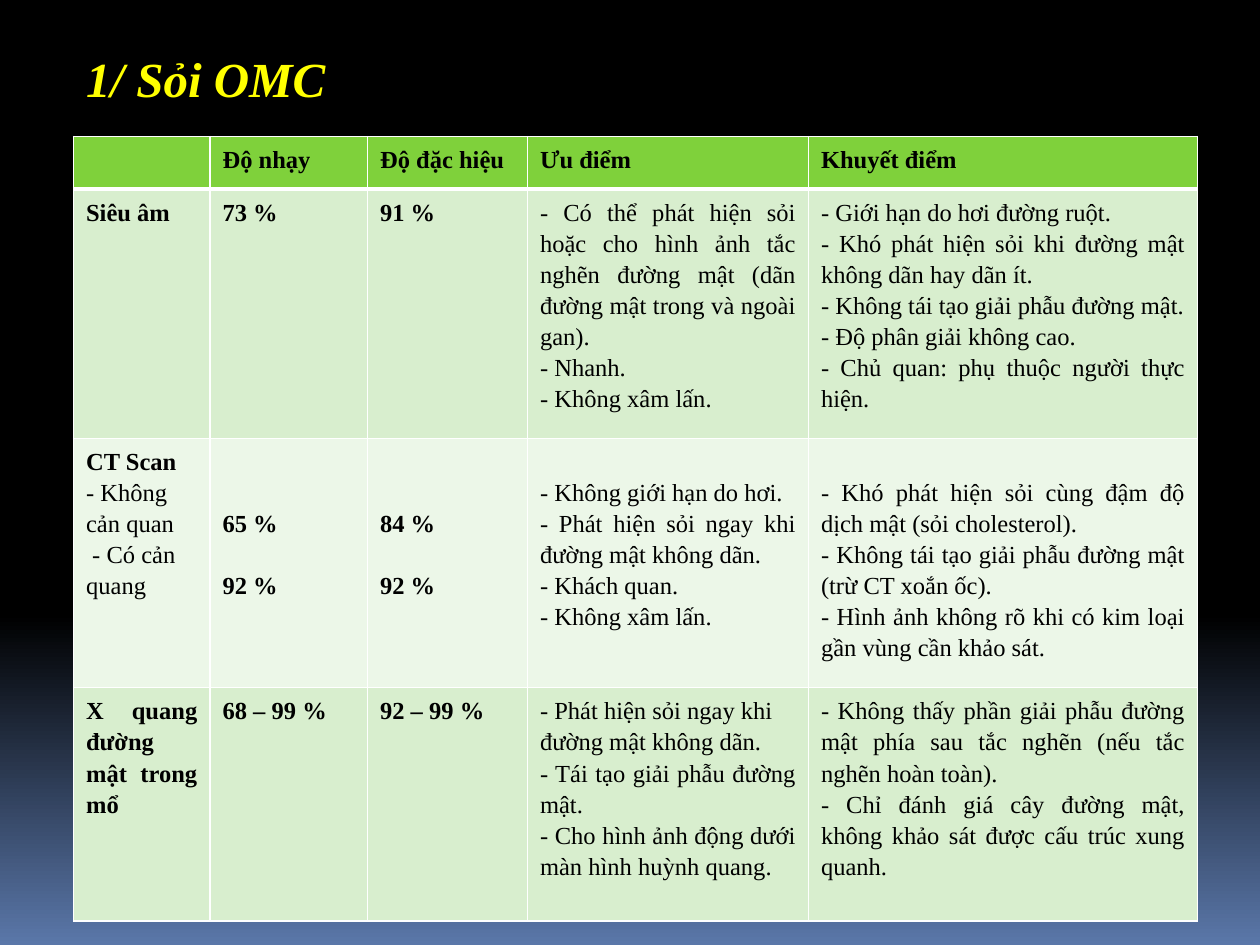
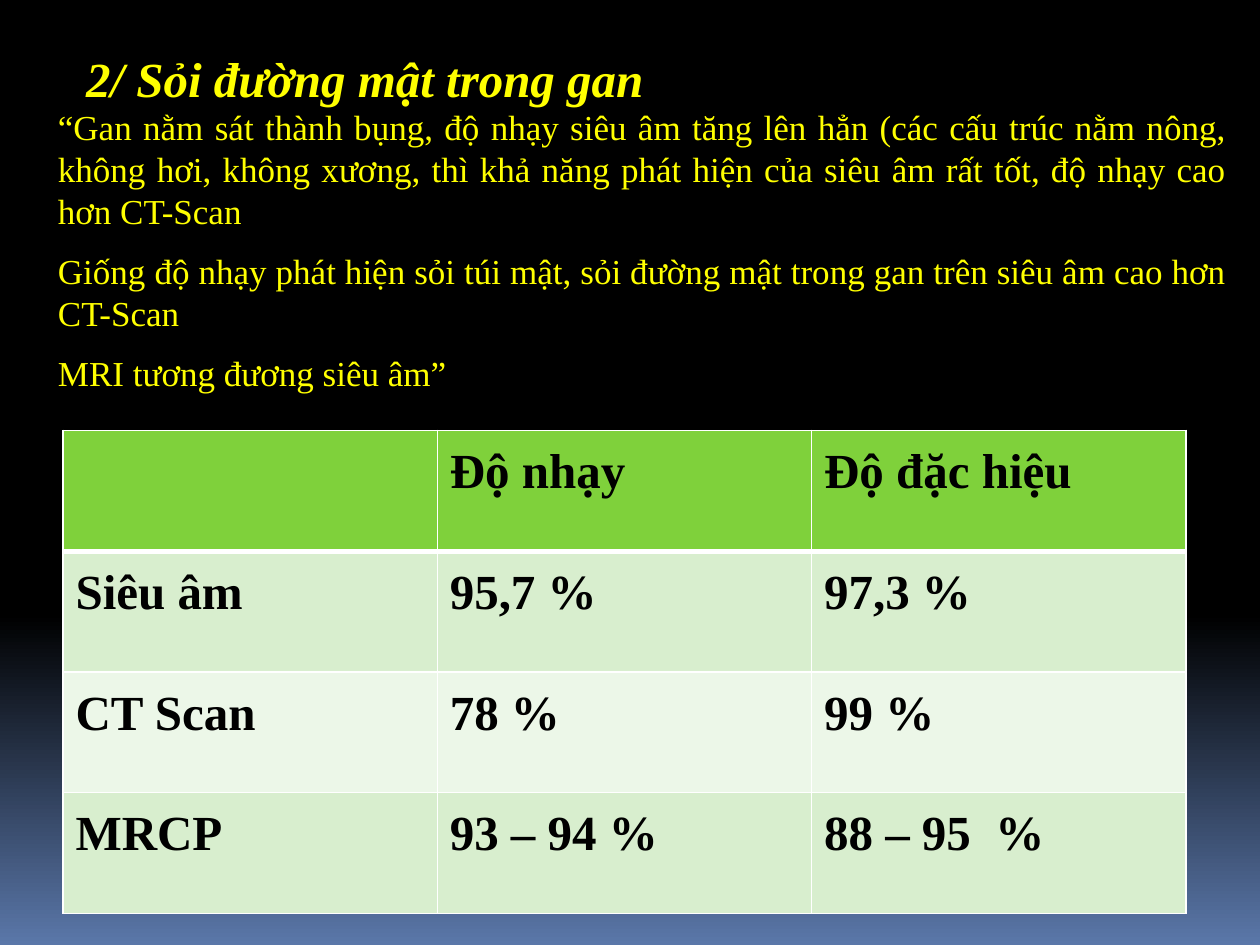
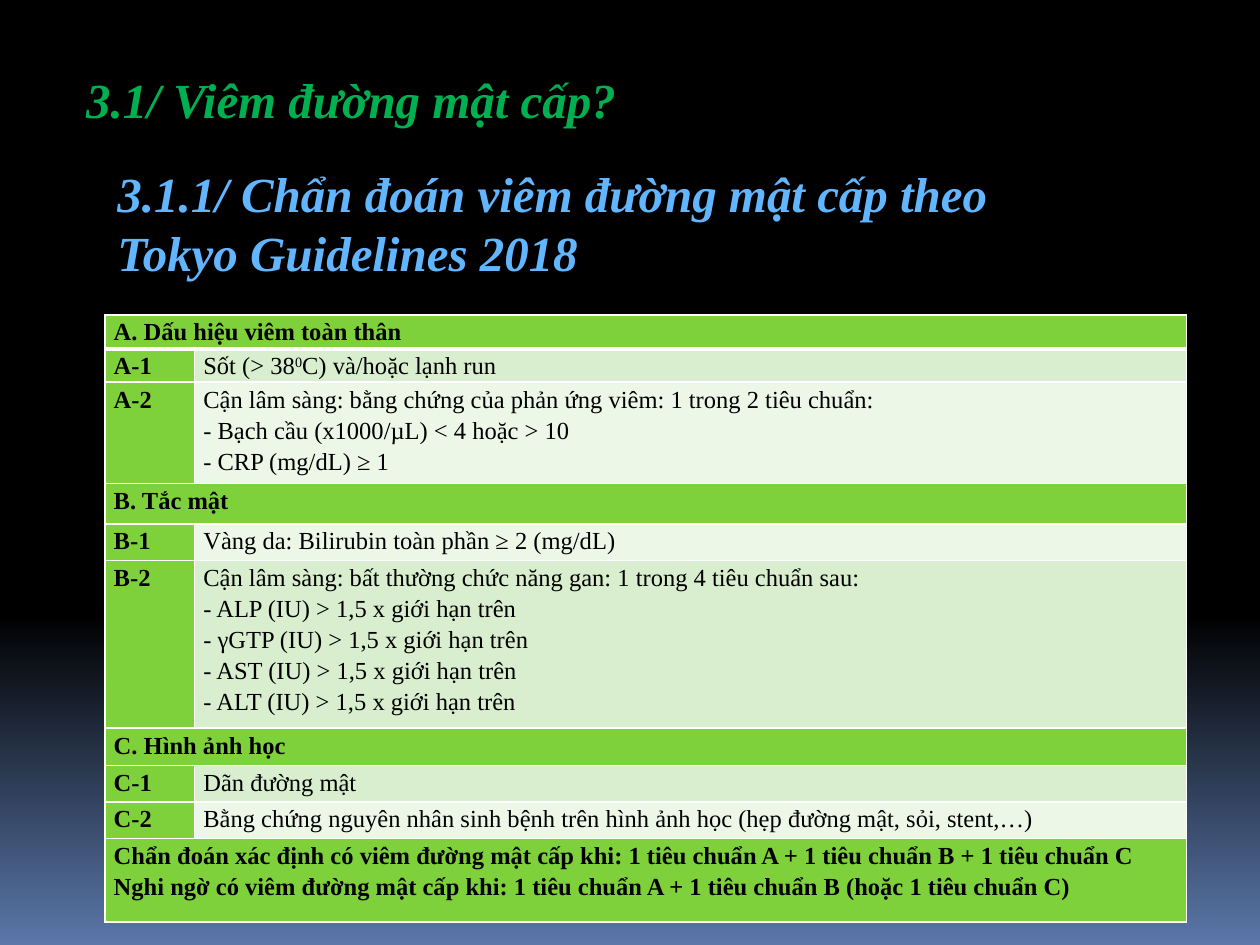
from dataclasses import dataclass

import pptx
import pptx.dml.color
import pptx.enum.text
import pptx.oxml
import pptx.oxml.ns
import pptx.util

Pt = pptx.util.Pt
RGBColor = pptx.dml.color.RGBColor
JUSTIFY = pptx.enum.text.PP_ALIGN.JUSTIFY
LEFT = pptx.enum.text.PP_ALIGN.LEFT

BLACK = RGBColor(0x00, 0x00, 0x00)
WHITE = RGBColor(0xFF, 0xFF, 0xFF)
HORIZON_BLUE = RGBColor(0x5A, 0x77, 0xA9)
YELLOW = RGBColor(0xFF, 0xFF, 0x00)
GREEN = RGBColor(0x00, 0xB0, 0x50)
SKY_BLUE = RGBColor(0x61, 0xB6, 0xFF)
HEADER_GREEN = RGBColor(0x7F, 0xD1, 0x3B)
EVEN_BAND = RGBColor(0xEC, 0xF7, 0xE8)
ODD_BAND = RGBColor(0xD8, 0xEE, 0xCE)

FONT = "Times New Roman"
TITLE_ONLY = 5
LINE_HEIGHT = 17.7
CELL_MARGIN_Y = 3.6


@dataclass
class Line:
    text: str
    bold: bool | None = None
    align: object = None
    before: float = 0


def as_lines(content):
    items = content if isinstance(content, list) else [content]
    return [item if isinstance(item, Line) else Line(item) for item in items]


def write(frame, content, *, size, color, bold=False, italic=False, align=LEFT,
          line_spacing=None, gap=0):
    """Lines become paragraphs; text between ^ marks is superscript."""
    for index, line in enumerate(as_lines(content)):
        paragraph = frame.add_paragraph() if index else frame.paragraphs[0]
        paragraph.alignment = align if line.align is None else line.align
        if line_spacing:
            paragraph.line_spacing = line_spacing
        paragraph.space_before = Pt(line.before + gap if index else 0)
        for part, text in enumerate(line.text.split("^")):
            run = paragraph.add_run()
            run.text = text
            run.font.name = FONT
            run.font.size = Pt(size)
            run.font.color.rgb = color
            run.font.bold = bold if line.bold is None else line.bold
            run.font.italic = italic
            if part % 2:
                run._r.get_or_add_rPr().set("baseline", "30000")


def place_text(shape, box, content, **style):
    shape.left, shape.top, shape.width, shape.height = map(Pt, box)
    frame = shape.text_frame
    frame.word_wrap = True
    frame.auto_size = pptx.enum.text.MSO_AUTO_SIZE.NONE
    frame.vertical_anchor = pptx.enum.text.MSO_ANCHOR.TOP
    write(frame, content, **style)


def add_title(slide, box, title, color=YELLOW):
    place_text(slide.shapes.title, box, title, size=28, color=color, bold=True, italic=True)


def add_text(slide, box, content, **style):
    place_text(slide.shapes.add_textbox(0, 0, 0, 0), box, content, **style)


def set_borders(cell, row):
    properties = cell._tc.get_or_add_tcPr()
    widths = {"lnL": 1, "lnR": 1, "lnT": 3 if row == 1 else 1, "lnB": 1 if row else 3}
    for index, (side, width) in enumerate(widths.items()):
        properties.insert(index, pptx.oxml.parse_xml(
            f'<a:{side} {pptx.oxml.ns.nsdecls("a")} w="{Pt(width)}">'
            f'<a:solidFill><a:srgbClr val="{WHITE}"/></a:solidFill></a:{side}>'))


def add_criteria_table(slide, left, top, columns, heights, rows, *, size=14,
                       bold_columns=1, green_labels=False, margins=(7.2, CELL_MARGIN_Y)):
    """A row with a single entry spans every column."""
    table = slide.shapes.add_table(len(rows), len(columns), Pt(left), Pt(top),
                                   Pt(sum(columns)), Pt(sum(heights))).table
    table.horz_banding = False
    for column, width in zip(table.columns, columns):
        column.width = Pt(width)
    for r, (entries, height) in enumerate(zip(rows, heights)):
        table.rows[r].height = Pt(height)
        spans = len(entries) == 1
        if spans:
            table.cell(r, 0).merge(table.cell(r, len(columns) - 1))
        for c in range(len(columns)):
            cell = table.cell(r, c)
            green = r == 0 or spans or (green_labels and c == 0)
            cell.fill.solid()
            cell.fill.fore_color.rgb = HEADER_GREEN if green else (EVEN_BAND, ODD_BAND)[r % 2]
            set_borders(cell, r)
            if c >= len(entries) or not entries[c]:
                continue
            side, edge = margins
            lines = as_lines(entries[c])
            cell.margin_left = cell.margin_right = Pt(side)
            cell.margin_top = Pt(edge + lines[0].before)
            cell.margin_bottom = Pt(edge)
            write(cell.text_frame, lines, size=size, color=BLACK,
                  bold=r == 0 or c < bold_columns, align=JUSTIFY, line_spacing=1.15)


def paint_background(master):
    fill = master.background.fill
    fill.gradient()
    fill.gradient_angle = 270
    for stop, position, color in zip(fill.gradient_stops, (0.65, 1), (BLACK, HORIZON_BLUE)):
        stop.position = position
        stop.color.rgb = color


def build_duct_stones(slide):
    add_title(slide, (42, 24, 522, 41), "1/ Sỏi OMC")

    def ct_rates(plain, contrast):
        return [Line(plain, before=2 * LINE_HEIGHT), Line(contrast, before=LINE_HEIGHT)]

    rows = [
        ["", "Độ nhạy", "Độ đặc hiệu", "Ưu điểm", "Khuyết điểm"],
        ["Siêu âm", "73 %", "91 %",
         ["- Có thể phát hiện sỏi hoặc cho hình ảnh tắc nghẽn đường mật (dãn đường mật trong và ngoài gan).",
          "- Nhanh.", "- Không xâm lấn."],
         ["- Giới hạn do hơi đường ruột.",
          "- Khó phát hiện sỏi khi đường mật không dãn hay dãn ít.",
          "- Không tái tạo giải phẫu đường mật.",
          "- Độ phân giải không cao.",
          "- Chủ quan: phụ thuộc người thực hiện."]],
        [["CT Scan", Line("- Không cản quan", False, LEFT), Line(" - Có cản quang", False, LEFT)],
         ct_rates("65 %", "92 %"), ct_rates("84 %", "92 %"),
         [Line("- Không giới hạn do hơi.", before=LINE_HEIGHT),
          "- Phát hiện sỏi ngay khi đường mật không dãn.",
          "- Khách quan.", "- Không xâm lấn."],
         [Line("- Khó phát hiện sỏi cùng đậm độ dịch mật (sỏi cholesterol).", before=LINE_HEIGHT),
          "- Không tái tạo giải phẫu đường mật (trừ CT xoắn ốc).",
          "- Hình ảnh không rõ khi có kim loại gần vùng cần khảo sát."]],
        ["X quang đường mật trong mổ", "68 – 99 %", "92 – 99 %",
         [Line("- Phát hiện sỏi ngay khi đường mật không dãn.", align=LEFT),
          "- Tái tạo giải phẫu đường mật.",
          "- Cho hình ảnh động dưới màn hình huỳnh quang."],
         ["- Không thấy phần giải phẫu đường mật phía sau tắc nghẽn (nếu tắc nghẽn hoàn toàn).",
          "- Chỉ đánh giá cây đường mật, không khảo sát được cấu trúc xung quanh."]],
    ]
    add_criteria_table(slide, 42, 78, (78, 90, 91.4, 160.6, 222.4),
                       (30, 142.5, 142.5, 133.4), rows, bold_columns=3)


def build_liver_stones(slide):
    add_title(slide, (42, 24, 522, 41), "2/ Sỏi đường mật trong gan")
    rows = [
        ["", "Độ nhạy", "Độ đặc hiệu"],
        ["Siêu âm", "95,7 %", "97,3 %"],
        ["CT Scan", "78 %", "99 %"],
        ["MRCP", "93 – 94 %", "88 – 95  %"],
    ]
    add_criteria_table(slide, 36, 246, [213.9] * 3, [69] * 4, rows, size=28, bold_columns=3)
    add_text(slide, (26, 57, 682, 177), [
        "“Gan nằm sát thành bụng, độ nhạy siêu âm tăng lên hẳn (các cấu trúc nằm nông, không hơi, "
        "không xương, thì khả năng phát hiện của siêu âm rất tốt, độ nhạy cao hơn CT-Scan",
        "Giống độ nhạy phát hiện sỏi túi mật, sỏi đường mật trong gan trên siêu âm cao hơn CT-Scan",
        "MRI tương đương siêu âm”",
    ], size=20, color=YELLOW, align=JUSTIFY, gap=10)


def build_cholangitis(slide):
    add_title(slide, (42, 36, 582, 75), "3.1/ Viêm đường mật cấp?", GREEN)
    add_text(slide, (60, 90, 564, 75),
             "3.1.1/ Chẩn đoán viêm đường mật cấp theo Tokyo Guidelines 2018",
             size=28, color=SKY_BLUE, bold=True, italic=True)
    enzymes = [f"- {enzyme} (IU) > 1,5 x giới hạn trên" for enzyme in ("ALP", "γGTP", "AST", "ALT")]
    enzymes[-1] = Line(enzymes[-1], align=LEFT)
    rows = [
        ["A. Dấu hiệu viêm toàn thân"],
        ["A-1", "Sốt (> 38^0^C) và/hoặc lạnh run"],
        ["A-2", ["Cận lâm sàng: bằng chứng của phản ứng viêm: 1 trong 2 tiêu chuẩn:",
                 "- Bạch cầu (x1000/µL) < 4 hoặc > 10",
                 "- CRP (mg/dL) ≥ 1"]],
        ["B. Tắc mật"],
        ["B-1", "Vàng da: Bilirubin toàn phần ≥ 2 (mg/dL)"],
        ["B-2", ["Cận lâm sàng: bất thường chức năng gan: 1 trong 4 tiêu chuẩn sau:", *enzymes]],
        ["C. Hình ảnh học"],
        ["C-1", "Dãn đường mật"],
        ["C-2", "Bằng chứng nguyên nhân sinh bệnh trên hình ảnh học (hẹp đường mật, sỏi, stent,…)"],
        [["Chẩn đoán xác định có viêm đường mật cấp khi: 1 tiêu chuẩn A + 1 tiêu chuẩn B + 1 tiêu chuẩn C",
          "Nghi ngờ có viêm đường mật cấp khi: 1 tiêu chuẩn A + 1 tiêu chuẩn B (hoặc 1 tiêu chuẩn C)"]],
    ]
    add_criteria_table(slide, 60, 180, (51.2, 566.8),
                       (19.4, 19, 58, 23, 20.8, 96, 21.2, 21, 21, 47.6), rows,
                       green_labels=True, margins=(5, 0))


def main():
    deck = pptx.Presentation()
    deck.slide_width, deck.slide_height = Pt(720), Pt(540)
    paint_background(deck.slide_master)
    for build in (build_duct_stones, build_liver_stones, build_cholangitis):
        build(deck.slides.add_slide(deck.slide_layouts[TITLE_ONLY]))
    deck.save("out.pptx")


if __name__ == "__main__":
    main()
